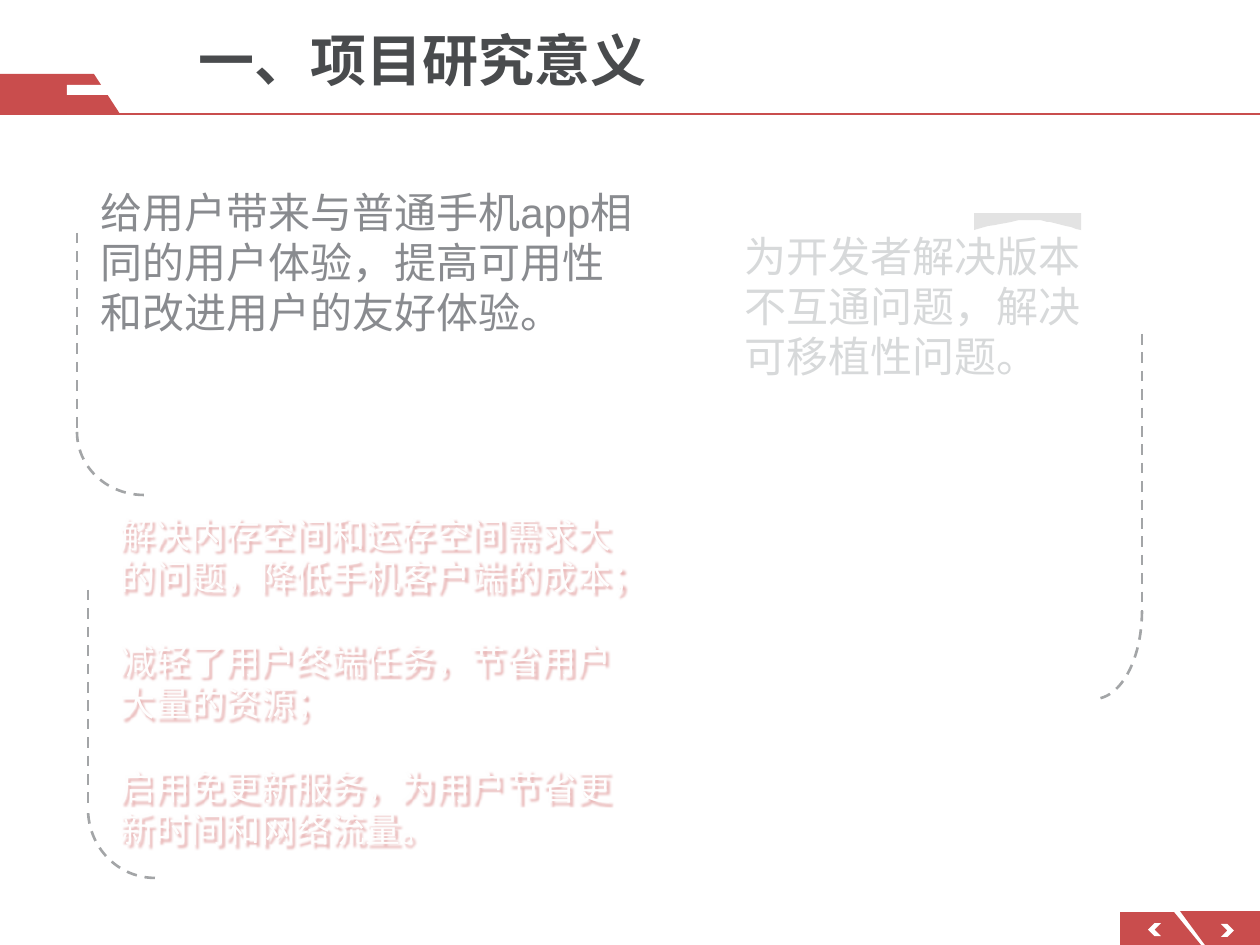
import pptx
import pptx.dml.color
import pptx.enum.dml
import pptx.enum.shapes
import pptx.enum.text
import pptx.oxml
import pptx.oxml.ns
import pptx.util

PX = 914400 / 126
RED, WHITE, GREY = "C94D4D", "FFFFFF", "A3A5A7"
SHAPE = pptx.enum.shapes.MSO_SHAPE
NS = pptx.oxml.ns.nsdecls("a")


def px(n):
    return pptx.util.Emu(round(n * PX))


def color(code):
    return pptx.dml.color.RGBColor.from_string(code)


def paint(shape, fill, alpha=None):
    shape.shadow.inherit = False
    shape.fill.solid()
    shape.fill.fore_color.rgb = color(fill)
    shape.line.fill.background()
    if alpha:
        node = shape._element.spPr.find(".//" + pptx.oxml.ns.qn("a:srgbClr"))
        node.append(pptx.oxml.parse_xml(f'<a:alpha {NS} val="{alpha * 1000}"/>'))


def block(shapes, kind, box, fill):
    shape = shapes.add_shape(kind, *map(px, box))
    paint(shape, fill)
    return shape


def outline(shapes, points, fill, alpha=None):
    """Draw a filled polygon through the points."""
    pen = shapes.build_freeform(*points[0], scale=PX)
    pen.add_line_segments(points[1:], close=True)
    paint(pen.convert_to_shape(), fill, alpha)


def stroke(line, code, width, dash=False):
    line.color.rgb = color(code)
    line.width = pptx.util.Pt(width)
    if dash:
        line.dash_style = pptx.enum.dml.MSO_LINE.DASH


def rule(shapes, start, end, code, width, dash=False):
    kind = pptx.enum.shapes.MSO_CONNECTOR.STRAIGHT
    line = shapes.add_connector(kind, *map(px, start + end))
    stroke(line.line, code, width, dash)
    line._element.spPr.append(pptx.oxml.parse_xml(f"<a:effectLst {NS}/>"))


def text(shapes, box, *paras, size, fill, bold=False, gap=0, shadow=None):
    shape = shapes.add_textbox(*map(px, box))
    frame = shape.text_frame
    frame.word_wrap = True
    frame.auto_size = pptx.enum.text.MSO_AUTO_SIZE.SHAPE_TO_FIT_TEXT
    for i, words in enumerate(paras):
        para = frame.paragraphs[0] if i == 0 else frame.add_paragraph()
        para.line_spacing = pptx.util.Pt(size * 1.2)
        para.space_before = pptx.util.Pt(gap if i else 0)
        run = para.add_run()
        run.text = words
        font = run.font
        font.name, font.size, font.bold = "Arial", pptx.util.Pt(size), bold
        font.color.rgb = color(fill)
    if shadow:
        shape._element.spPr.append(pptx.oxml.parse_xml(
            f'<a:effectLst {NS}><a:outerShdw blurRad="12700" dist="19050" dir="2700000">'
            f'<a:srgbClr val="{shadow}"><a:alpha val="40000"/></a:srgbClr>'
            "</a:outerShdw></a:effectLst>"))


def header(shapes, x, y, width):
    base = y + 40
    outline(shapes, [(x, y), (x + 94, y), (x + 120, base), (x, base)], RED)
    rule(shapes, (x, base), (x + width, base), RED, 1)
    block(shapes, SHAPE.RECTANGLE, (x + 67, y + 11, 213, 10), WHITE)
    text(shapes, (x + 186, y - 55, 781, 81), "一、项目研究意义",
         size=32, fill="494B4D", bold=True)


def pager(shapes, x, y):
    """Place the back and next buttons."""
    end = y + 34
    outline(shapes, [(x, y + 1), (x + 54, y + 1), (x + 81, end), (x, end)], RED)
    outline(shapes, [(x + 60, y), (x + 140, y), (x + 140, end), (x + 85, end)], RED)
    block(shapes, SHAPE.CHEVRON, (x + 28, y + 12, 13, 13), WHITE).rotation = 180
    block(shapes, SHAPE.CHEVRON, (x + 101, y + 13, 13, 13), WHITE)


def bracket(shapes, x, top, bend, rx, ry, right=False):
    """Draw a dashed side line that ends in a quarter ellipse."""
    group = shapes.add_group_shape().shapes
    left = x - 2 * rx if right else x
    arc = group.add_shape(SHAPE.ARC, *map(px, (left, bend - ry, 2 * rx, 2 * ry)))
    arc.shadow.inherit = False
    arc.fill.background()
    first = 0 if right else 54  # 54 is a quarter turn
    arc.adjustments[0], arc.adjustments[1] = first, first + 54
    stroke(arc.line, GREY, 1.5, True)
    rule(group, (x, top), (x, bend), GREY, 1.5, True)


def tab(shapes, x, y, width, height, steps=24):
    """Draw a pale strip with a curved lower edge."""
    nodes = [(x + width, y + height), (x + 62, y + 6),
             (x + 62, y + 1), (x, y + height)]
    curve = []
    for i in range(steps + 1):
        t = i / steps
        weights = ((1 - t) ** 3, 3 * t * (1 - t) ** 2, 3 * t * t * (1 - t), t ** 3)
        curve.append(tuple(sum(w * node[k] for w, node in zip(weights, nodes))
                           for k in (0, 1)))
    outline(shapes, [(x, y), (x + width, y)] + curve, "DDDDDD", 80)


def main():
    deck = pptx.Presentation()
    deck.slide_width, deck.slide_height = px(1260), px(945)
    shapes = deck.slides.add_slide(deck.slide_layouts[6]).shapes
    header(shapes, 0, 74, 1260)
    pager(shapes, 1120, 911)
    bracket(shapes, 1142, 334, 611, 48, 88, right=True)
    bracket(shapes, 77, 233, 432, 67, 63)
    bracket(shapes, 88, 590, 809, 67, 69)
    tab(shapes, 974, 213, 107, 17)
    text(shapes, (88, 180, 567, 164),
         "给用户带来与普通手机app相同的用户体验，提高可用性和改进用户的友好体验。",
         size=24, fill="898B8F")
    text(shapes, (732, 224, 393, 164),
         "为开发者解决版本不互通问题，解决可移植性问题。",
         size=24, fill="D7D9DA")
    text(shapes, (108, 507, 546, 349),
         "解决内存空间和运存空间需求大的问题，降低手机客户端的成本；",
         "减轻了用户终端任务，节省用户大量的资源；",
         "启用免更新服务，为用户节省更新时间和网络流量。",
         size=20, fill="FEFEFE", gap=24, shadow=RED)
    deck.save("out.pptx")


if __name__ == "__main__":
    main()
